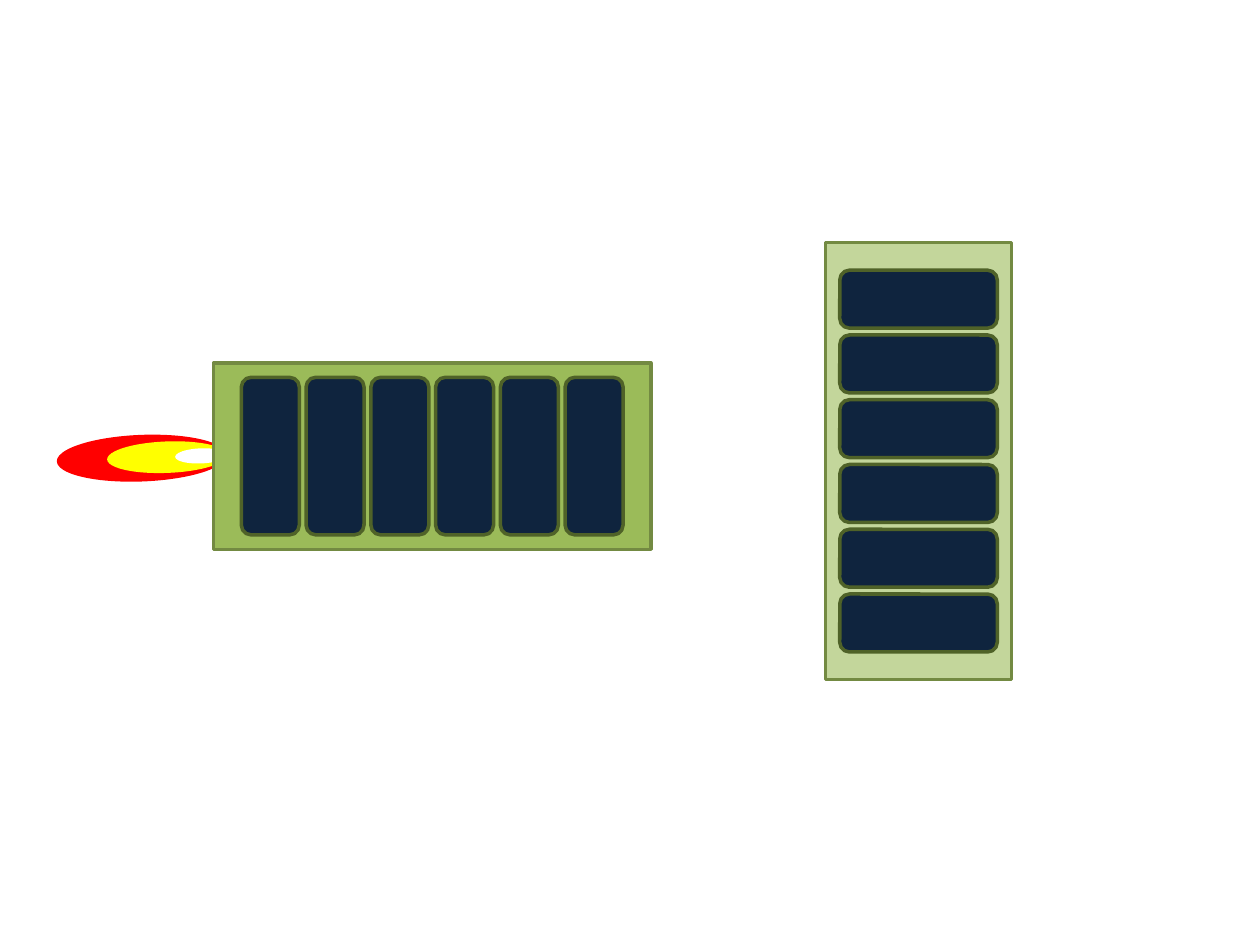
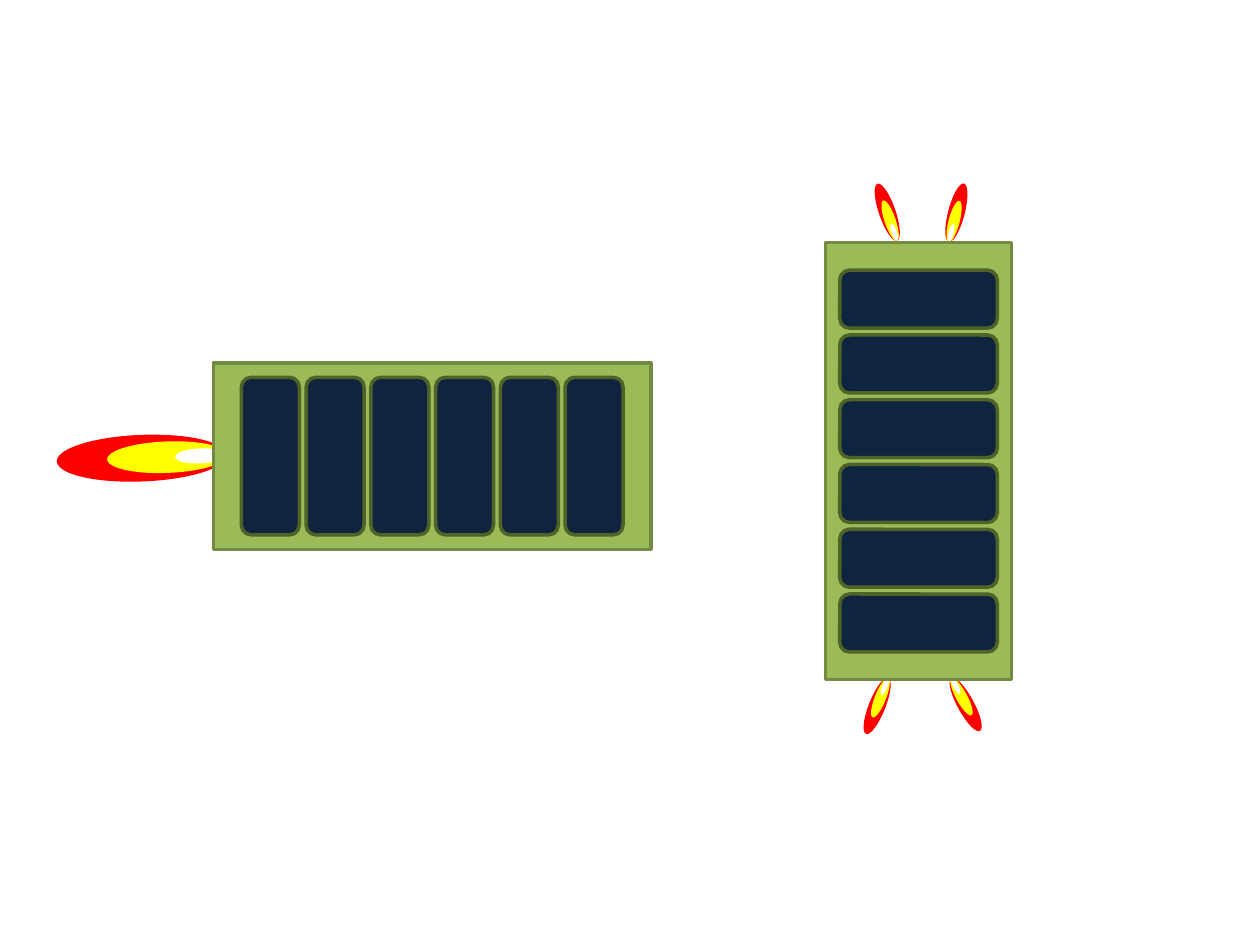
from dataclasses import dataclass
from math import cos, radians, sin

from pptx import Presentation
from pptx.dml.color import RGBColor as RGB
from pptx.enum.shapes import MSO_SHAPE as SHAPE
from pptx.util import Inches, Pt


@dataclass(frozen=True)
class Theme:
    """Colours and line width shared by both slides."""
    body: RGB = RGB(0x9B, 0xBB, 0x59)
    body_pale: RGB = RGB(0xC3, 0xD6, 0x9B)
    body_line: RGB = RGB(0x73, 0x8A, 0x42)
    cell: RGB = RGB(0x0F, 0x24, 0x3E)
    cell_line: RGB = RGB(0x4F, 0x62, 0x28)
    red: RGB = RGB(0xFF, 0x00, 0x00)
    yellow: RGB = RGB(0xFF, 0xFF, 0x00)
    white: RGB = RGB(0xFF, 0xFF, 0xFF)
    line_width: Pt = Pt(2)


T = Theme()

# Sizes in inches
BODY_W, BODY_H = 1.48, 3.47
CELL_W, CELL_H = 1.25, 0.46
CELLS = 6
CELL_PITCH = 2.57 / (CELLS - 1)
FLAME_LAYERS = [(1.35, 0.37, T.red), (0.95, 0.25, T.yellow), (0.41, 0.12, T.white)]
SMALL = 0.355

# A flame is nozzle x, nozzle y, direction in degrees, scale
MAIN_ENGINE = [(1.8, 3.61, 177.8, 1)]
THRUSTERS = [
    (7.05, 5.38, 111.7, SMALL),
    (7.55, 5.38, 61.6, SMALL),
    (7.53, 1.92, 284.6, SMALL),
    (7.12, 1.91, 251, SMALL),
]

# A craft is centre x, centre y, rotation, body colour, flames
FLYING = (3.43, 3.62, 90, T.body, MAIN_ENGINE)
SLIDES = [
    [FLYING, (7.29, 3.66, 0, T.body_pale, [])],
    [FLYING, (7.29, 3.66, 0, T.body, THRUSTERS)],
]


def add_part(group, kind, cx, cy, w, h, rotation, fill, line=None):
    """Add a rotated shape to a group, placed by its centre."""
    part = group.shapes.add_shape(
        kind, Inches(cx - w / 2), Inches(cy - h / 2), Inches(w), Inches(h))
    part.rotation = rotation
    part.shadow.inherit = False
    part.fill.solid()
    part.fill.fore_color.rgb = fill
    if line is None:
        part.line.fill.background()
    else:
        part.line.color.rgb = line
        part.line.width = T.line_width


def add_flame(group, x, y, direction, scale):
    """Add nested ellipses that all start at the nozzle."""
    angle = radians(direction)
    for length, width, colour in FLAME_LAYERS:
        reach = length * scale / 2
        add_part(group, SHAPE.OVAL, x + reach * cos(angle), y + reach * sin(angle),
                 length * scale, width * scale, direction, colour)


prs = Presentation()
prs.slide_width, prs.slide_height = Inches(10), Inches(7.5)

for crafts in SLIDES:
    s = prs.slides.add_slide(prs.slide_layouts[6])
    for cx, cy, rotation, colour, flames in crafts:
        group = s.shapes.add_group_shape()
        for flame in flames:
            add_flame(group, *flame)
        add_part(group, SHAPE.RECTANGLE, cx, cy, BODY_W, BODY_H, rotation,
                 colour, T.body_line)
        turn = radians(rotation)
        for i in range(CELLS):
            offset = (i - (CELLS - 1) / 2) * CELL_PITCH
            add_part(group, SHAPE.ROUNDED_RECTANGLE,
                     cx - offset * sin(turn), cy + offset * cos(turn),
                     CELL_W, CELL_H, rotation, T.cell, T.cell_line)

prs.save("out.pptx")
